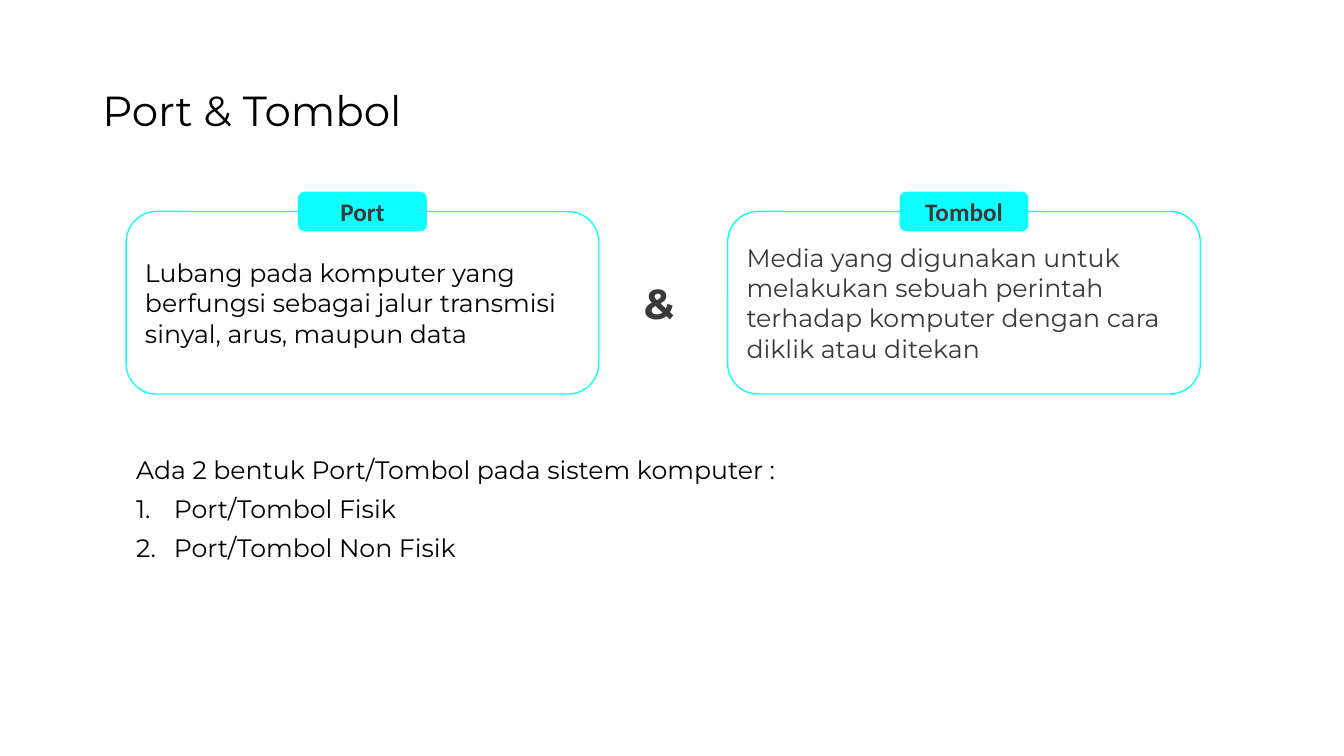
from dataclasses import dataclass

from lxml import etree
from pptx import Presentation
from pptx.dml.color import RGBColor
from pptx.enum import shapes, text
from pptx.oxml import ns
from pptx.shapes.autoshape import Shape
from pptx.slide import Slide
from pptx.util import Cm, Pt


@dataclass(frozen=True)
class Theme:
    black: str = "000000"
    grey: str = "3B3838"
    cyan: str = "0FFFFF"
    white: str = "FFFFFF"
    body_font: str = "Montserrat"
    label_font: str = "Calibri"
    large: int = 30
    normal: int = 18


@dataclass(frozen=True)
class Definition:
    term: str
    meaning: str
    left: float
    color: str


THEME = Theme()
CARD_TOP, CARD_WIDTH, CARD_HEIGHT = 5.33, 11.91, 4.6
TERM_WIDTH, TERM_HEIGHT = 3.25, 1.0
DEFINITIONS = [
    Definition("Port", "Lubang pada komputer yang berfungsi sebagai jalur "
               "transmisi sinyal, arus, maupun data", 3.18, THEME.black),
    Definition("Tombol", "Media yang digunakan untuk melakukan sebuah perintah "
               "terhadap komputer dengan cara diklik atau ditekan", 18.34, THEME.grey),
]
FORMS_INTRO = "Ada 2 bentuk Port/Tombol pada sistem komputer :"
FORMS = ["Port/Tombol Fisik", "Port/Tombol Non Fisik"]


def write(shape: Shape, *lines: str, font: str = THEME.body_font,
          size: int = THEME.normal, color: str = THEME.black, bold: bool = False,
          align: text.PP_ALIGN = text.PP_ALIGN.LEFT,
          anchor: text.MSO_ANCHOR = text.MSO_ANCHOR.MIDDLE,
          wrap: bool = True, line_spacing: float = 1.0) -> None:
    frame = shape.text_frame
    frame.word_wrap = wrap
    frame.vertical_anchor = anchor
    frame.text = "\n".join(lines)
    for paragraph in frame.paragraphs:
        paragraph.alignment = align
        paragraph.line_spacing = line_spacing
        for run in paragraph.runs:
            run.font.name = font
            run.font.size = Pt(size)
            run.font.bold = bold
            run.font.color.rgb = RGBColor.from_string(color)


def number(shape: Shape, first: int) -> None:
    for paragraph in shape.text_frame.paragraphs[first:]:
        paragraph.space_before = Pt(6)
        properties = paragraph._p.get_or_add_pPr()
        properties.set("marL", str(Cm(0.95)))
        properties.set("indent", str(-Cm(0.95)))
        numbering = etree.SubElement(properties, ns.qn("a:buAutoNum"))
        numbering.set("type", "arabicPeriod")


def add_text_area(slide: Slide, left: float, top: float,
                  width: float, height: float) -> Shape:
    return slide.shapes.add_textbox(Cm(left), Cm(top), Cm(width), Cm(height))


def add_rounded(slide: Slide, left: float, top: float, width: float,
                height: float, fill: str, outline: str | None = None) -> Shape:
    rounded = slide.shapes.add_shape(
        shapes.MSO_SHAPE.ROUNDED_RECTANGLE, Cm(left), Cm(top), Cm(width), Cm(height))
    rounded.shadow.inherit = False
    rounded.fill.solid()
    rounded.fill.fore_color.rgb = RGBColor.from_string(fill)
    if outline:
        rounded.line.color.rgb = RGBColor.from_string(outline)
        rounded.line.width = Pt(1)
    else:
        rounded.line.fill.background()
    return rounded


def add_definition(slide: Slide, definition: Definition) -> None:
    card = add_rounded(slide, definition.left, CARD_TOP, CARD_WIDTH, CARD_HEIGHT,
                       THEME.white, THEME.cyan)
    write(card, definition.meaning, color=definition.color)
    term = add_rounded(slide, definition.left + (CARD_WIDTH - TERM_WIDTH) / 2,
                       CARD_TOP - TERM_HEIGHT / 2, TERM_WIDTH, TERM_HEIGHT, THEME.cyan)
    write(term, definition.term, font=THEME.label_font, color=THEME.grey,
          bold=True, align=text.PP_ALIGN.CENTER)


def main() -> None:
    presentation = Presentation()
    presentation.slide_width, presentation.slide_height = Cm(33.87), Cm(19.05)
    slide = presentation.slides.add_slide(presentation.slide_layouts[6])

    title = add_text_area(slide, 2.33, 1.01, 29.21, 3.68)
    write(title, "Port & Tombol", size=THEME.large, line_spacing=0.9)

    for definition in DEFINITIONS:
        add_definition(slide, definition)

    forms = add_text_area(slide, 3.18, 11.33, 22.73, 3.0)
    write(forms, FORMS_INTRO, *FORMS, anchor=text.MSO_ANCHOR.TOP)
    number(forms, first=1)

    ampersand = add_text_area(slide, 15.98, 6.86, 1.3, 1.55)
    write(ampersand, "&", size=THEME.large, color=THEME.grey, bold=True,
          anchor=text.MSO_ANCHOR.TOP, wrap=False)

    presentation.save("out.pptx")


if __name__ == "__main__":
    main()
